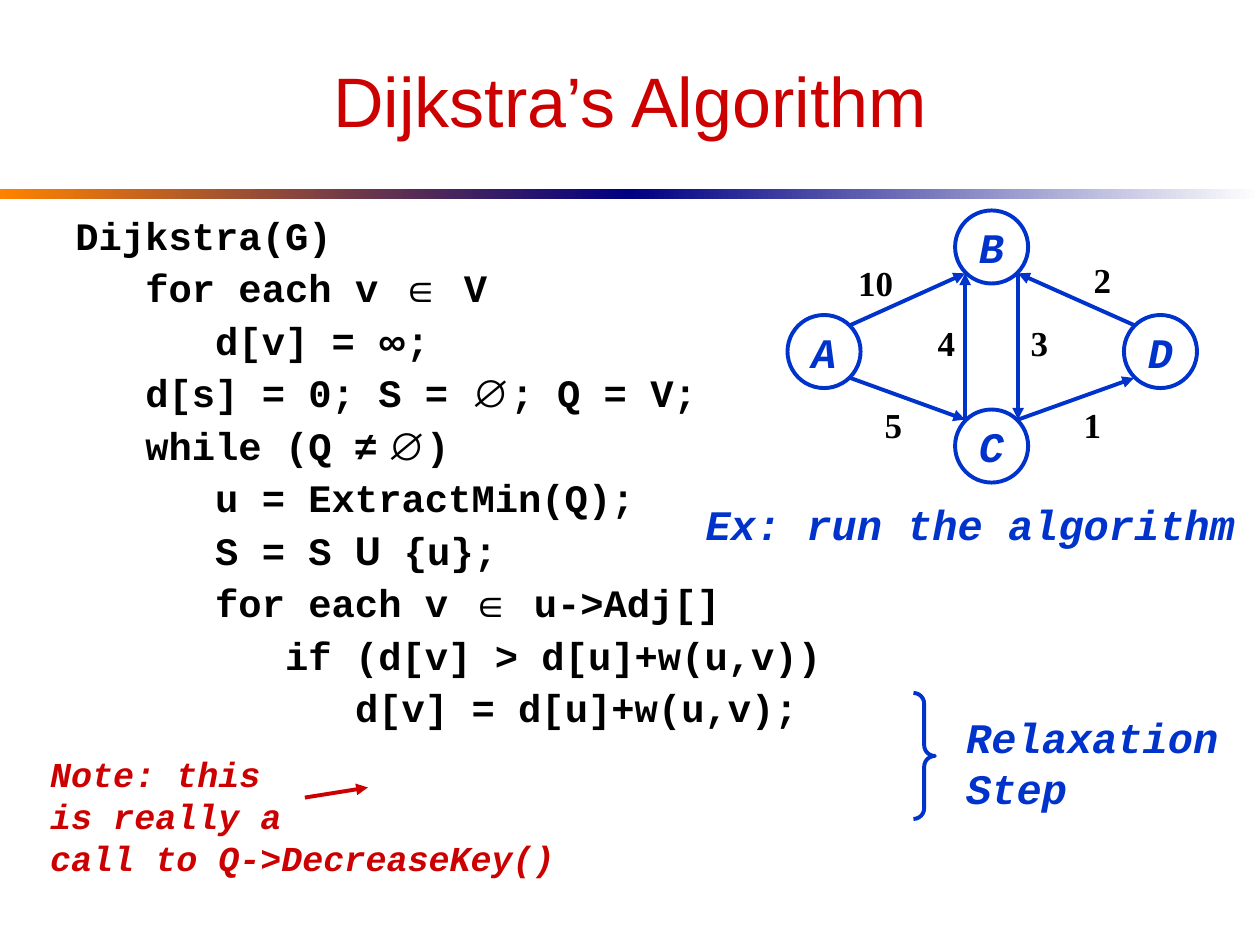
from lxml.etree import SubElement
from pptx import Presentation
from pptx.dml.color import RGBColor
from pptx.enum.shapes import MSO_CONNECTOR as Connector, MSO_SHAPE as Shape
from pptx.enum.text import MSO_ANCHOR as Anchor, PP_ALIGN as Align
from pptx.oxml.ns import qn
from pptx.util import Inches, Pt

RED, BLUE, BLACK, WHITE = "CC0000", "0033CC", "000000", "FFFFFF"
ORANGE, NAVY = "FF8200", "000082"
CODE_FONT = "Courier New"
CODE_SIZE = 22.2
CODE_INDENT = 3 * 0.6 * CODE_SIZE / 72
LINE_WIDTH = 2.25
NODE_SIZE = 0.58
NODE_DIAGONAL = 0.21

CODE = [
    (0, ["Dijkstra(G)"]),
    (1, ["for each v ", ("∈", "Arial"), " V"]),
    (2, ["d[v] = ", ("∞", "Arial"), ";"]),
    (1, ["d[s] = 0; S = ", ("∅", "Arial"), "; Q = V;"]),
    (1, ["while (Q ", ("≠ ∅", "Arial"), ")"]),
    (2, ["u = ExtractMin(Q);"]),
    (2, ["S = S ", ("U", "Roboto"), " {u};"]),
    (2, ["for each v ", ("∈", "Arial"), " u->Adj[]"]),
    (3, ["if (d[v] > d[u]+w(u,v))"]),
    (4, ["d[v] = d[u]+w(u,v);"]),
]
NODES = {"B": (7.87, 1.96), "C": (7.87, 3.54), "D": (9.21, 2.79), "A": (6.54, 2.79)}
EDGES = [
    ("A", (1, -1), "B", (-1, 1)),
    ("A", (1, 1), "C", (-1, -1)),
    ("C", (1, -1), "D", (-1, 1)),
    ("D", (-1, -1), "B", (1, 1)),
    ("C", (-1, -1), "B", (-1, 1)),
    ("B", (1, 1), "C", (1, -1)),
]
WEIGHTS = [("10", 6.95, 2.03), ("4", 7.51, 2.5), ("3", 8.25, 2.5),
           ("2", 8.75, 2), ("1", 8.67, 3.15), ("5", 7.09, 3.15)]


def color(value):
    return RGBColor.from_string(value)


def add_run(paragraph, text, font, size, fill, bold=True, italic=False):
    run = paragraph.add_run()
    run.text = text
    run.font.name = font
    run.font.size = Pt(size)
    run.font.color.rgb = color(fill)
    run.font.bold = bold
    run.font.italic = italic


def write(shape, text, font=CODE_FONT, size=24, fill=BLUE, bold=True, italic=True,
          align=Align.LEFT, anchor=Anchor.TOP, wrap=False):
    frame = shape.text_frame
    frame.word_wrap = wrap
    frame.vertical_anchor = anchor
    paragraph = frame.paragraphs[0]
    paragraph.alignment = align
    for number, line in enumerate(text.split("\n")):
        if number:
            paragraph.add_line_break()
        add_run(paragraph, line, font, size, fill, bold, italic)


def add_text(slide, text, left, top, width, height, **text_format):
    box = slide.shapes.add_textbox(Inches(left), Inches(top), Inches(width), Inches(height))
    write(box, text, **text_format)


def add_shape(slide, kind, left, top, width, height):
    shape = slide.shapes.add_shape(kind, Inches(left), Inches(top), Inches(width), Inches(height))
    shape.shadow.inherit = False
    return shape


def set_line(shape, line_color):
    shape.line.color.rgb = color(line_color)
    shape.line.width = Pt(LINE_WIDTH)


def add_gradient_bar(slide, left, start, end):
    bar = add_shape(slide, Shape.RECTANGLE, left, 1.5, 5, 0.08)
    bar.line.fill.background()
    bar.fill.gradient()
    bar.fill.gradient_angle = 0
    for stop, value in zip(bar.fill.gradient_stops, (start, end)):
        stop.color.rgb = color(value)


def add_code(slide):
    box = slide.shapes.add_textbox(Inches(0.5), Inches(1.67), Inches(9), Inches(4.75))
    frame = box.text_frame
    frame.word_wrap = True
    for number, (level, pieces) in enumerate(CODE):
        paragraph = frame.add_paragraph() if number else frame.paragraphs[0]
        paragraph.line_spacing = 0.9
        paragraph.space_before = Pt(6)
        paragraph._p.get_or_add_pPr().set("marL", str(Inches(level * CODE_INDENT)))
        for piece in pieces:
            text, font = (piece, CODE_FONT) if isinstance(piece, str) else piece
            add_run(paragraph, text, font, CODE_SIZE, BLACK)


def add_arrow(slide, start, end, line_color):
    points = [Inches(value) for value in (*start, *end)]
    arrow = slide.shapes.add_connector(Connector.STRAIGHT, *points)
    set_line(arrow, line_color)
    SubElement(arrow.line._get_or_add_ln(), qn("a:tailEnd"), type="triangle")
    SubElement(arrow._element.spPr, qn("a:effectLst"))


def add_brace(slide):
    brace = add_shape(slide, Shape.RIGHT_BRACE, 7.25, 5.5, 0.17, 1)
    brace.adjustments[0] = 0.5
    brace.fill.background()
    set_line(brace, BLUE)


def add_node(slide, name, center):
    left, top = (value - NODE_SIZE / 2 for value in center)
    node = add_shape(slide, Shape.OVAL, left, top, NODE_SIZE, NODE_SIZE)
    node.fill.solid()
    node.fill.fore_color.rgb = color(WHITE)
    set_line(node, BLUE)
    write(node, name, align=Align.CENTER, anchor=Anchor.MIDDLE)


def rim_point(name, direction):
    return [value + sign * NODE_DIAGONAL for value, sign in zip(NODES[name], direction)]


def add_graph(slide):
    for name, center in NODES.items():
        add_node(slide, name, center)
    for source, source_side, target, target_side in EDGES:
        add_arrow(slide, rim_point(source, source_side), rim_point(target, target_side), BLUE)
    for weight, center, top in WEIGHTS:
        width = 0.2 + 0.14 * len(weight)
        add_text(slide, weight, center - width / 2, top, width, 0.44, font="Times New Roman",
                 size=20, fill=BLACK, italic=False, align=Align.CENTER)


def main():
    presentation = Presentation()
    presentation.slide_width = Inches(10)
    presentation.slide_height = Inches(7.5)
    slide = presentation.slides.add_slide(presentation.slide_layouts[6])

    add_gradient_bar(slide, 0, ORANGE, NAVY)
    add_gradient_bar(slide, 5, NAVY, WHITE)
    add_text(slide, "Dijkstra’s Algorithm", 0.5, 0.25, 9, 1.08, font="Arial", size=40, fill=RED,
             bold=False, italic=False, align=Align.CENTER, anchor=Anchor.MIDDLE, wrap=True)
    add_code(slide)
    add_brace(slide)
    add_text(slide, "Relaxation\nStep", 7.57, 5.6, 2.2, 0.9)
    add_text(slide, "Note: this\nis really a\ncall to Q->DecreaseKey()", 0.3, 5.92, 4.21, 1.1,
             size=20, fill=RED)
    add_arrow(slide, (2.42, 6.33), (2.92, 6.25), RED)
    add_graph(slide)
    add_text(slide, "Ex: run the algorithm", 5.5, 3.91, 4.4, 0.5, align=Align.CENTER)
    presentation.save("out.pptx")


if __name__ == "__main__":
    main()
